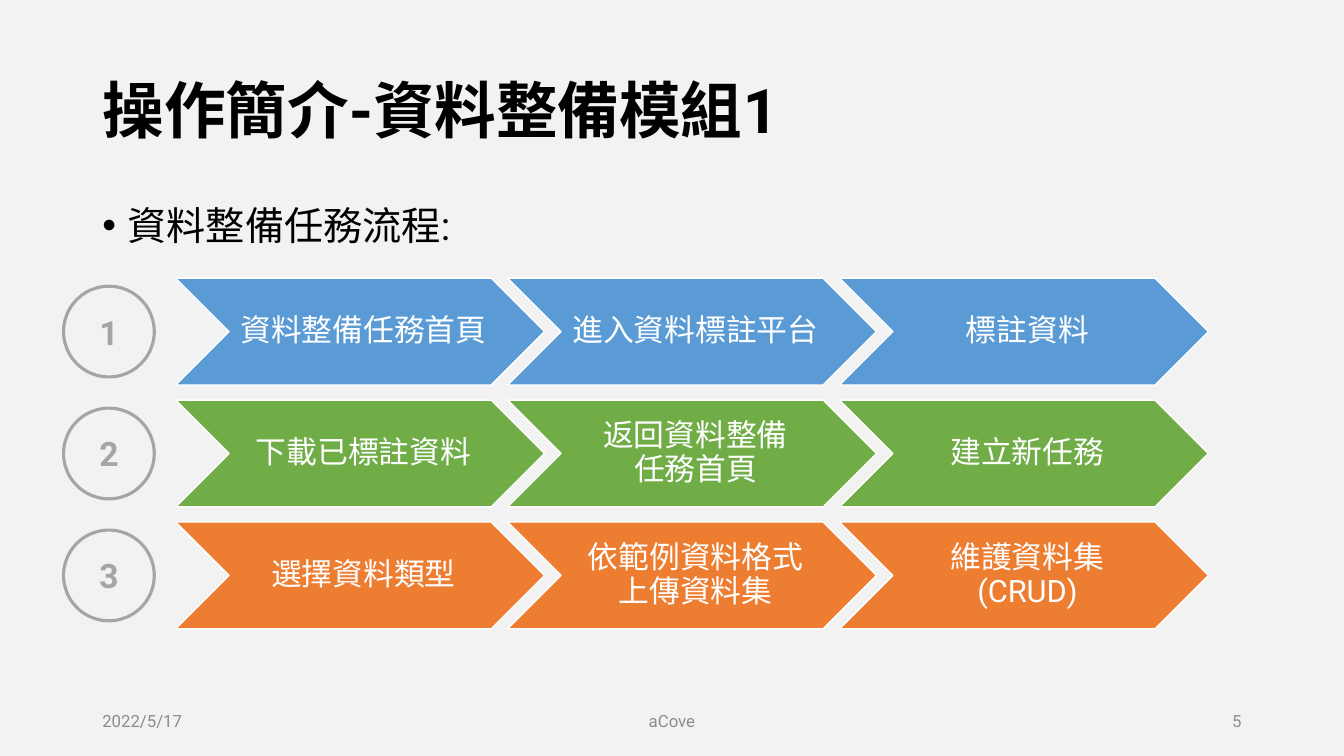
"""Build the slide that shows the data preparation flow."""
from pptx import Presentation
from pptx.dml.color import RGBColor
from pptx.enum.shapes import MSO_SHAPE as Kind
from pptx.enum.text import MSO_ANCHOR as Anchor, PP_ALIGN as Align
from pptx.oxml.ns import qn
from pptx.util import Pt
from lxml.etree import SubElement

BLACK = RGBColor(0x00, 0x00, 0x00)
WHITE = RGBColor(0xFF, 0xFF, 0xFF)
PALE = RGBColor(0xF2, 0xF2, 0xF2)
GREY = RGBColor(0x8C, 0x8C, 0x8C)
RING = RGBColor(0xA5, 0xA5, 0xA5)
BLUE = RGBColor(0x5B, 0x9B, 0xD5)
GREEN = RGBColor(0x70, 0xAD, 0x47)
ORANGE = RGBColor(0xED, 0x7D, 0x31)

TITLE = "操作簡介-資料整備模組1"
LEAD = "資料整備任務流程:"
ROWS = [
    (BLUE, ["資料整備任務首頁", "進入資料標註平台", "標註資料"]),
    (GREEN, ["下載已標註資料", "返回資料整備\n任務首頁", "建立新任務"]),
    (ORANGE, ["選擇資料類型", "依範例資料格式\n上傳資料集", "維護資料集(CRUD)"]),
]
FOOTER = [
    ("2022/5/17", 66, 216, Align.LEFT),
    ("aCove", 318, 324, Align.CENTER),
    ("5", 678, 216, Align.RIGHT),
]

LEFT, TOP = 125.5, 198.7
WIDE, HIGH = 263.5, 76.3
STEP, DROP = 237.1, 87.1
DISC, EDGE = 64.8, 45.4


def write(shape, text, size, color, bold=False, align=Align.CENTER,
          anchor=Anchor.MIDDLE, space=1.0, pad=(7.2, 3.6, 7.2, 3.6)):
    """Put formatted text into a shape and return its paragraph."""
    frame = shape.text_frame
    frame.word_wrap = True
    frame.vertical_anchor = anchor
    (frame.margin_left, frame.margin_top,
     frame.margin_right, frame.margin_bottom) = map(Pt, pad)
    para = frame.paragraphs[0]
    para.text = text
    para.alignment = align
    para.line_spacing = space
    for run in para.runs:
        font = run.font
        font.name, font.size, font.bold = "Roboto", Pt(size), bold
        font.color.rgb = color
    return para


def place(shape, *box):
    """Move a shape to a box given in points."""
    shape.left, shape.top, shape.width, shape.height = map(Pt, box)
    return shape


def draw(slide, kind, box, line, width, fill=None):
    """Add a preset shape with its fill and line."""
    shape = slide.shapes.add_shape(kind, *map(Pt, box))
    shape.shadow.inherit = False
    if fill is None:
        shape.fill.background()
    else:
        shape.fill.solid()
        shape.fill.fore_color.rgb = fill
    shape.line.color.rgb = line
    shape.line.width = Pt(width)
    return shape


def main():
    """Make the slide and save it."""
    deck = Presentation()
    deck.slide_width, deck.slide_height = Pt(960), Pt(540)
    slide = deck.slides.add_slide(deck.slide_layouts[1])
    slide.background.fill.solid()
    slide.background.fill.fore_color.rgb = PALE

    title = place(slide.shapes.title, 66, 28.8, 828, 104.4)
    write(title, TITLE, 44, BLACK, bold=True, align=Align.LEFT, space=0.9)
    body = place(slide.placeholders[1], 66, 144, 828, 44)
    lead = write(body, LEAD, 28, BLACK, align=Align.LEFT,
                 anchor=Anchor.TOP, space=0.9)
    lead.space_before = Pt(10)
    props = lead._p.get_or_add_pPr()
    props.set("marL", str(Pt(18)))
    props.set("indent", str(-Pt(18)))
    SubElement(props, qn("a:buFont")).set("typeface", "Arial")
    SubElement(props, qn("a:buChar")).set("char", "•")

    for text, left, width, align in FOOTER:
        box = slide.shapes.add_textbox(*map(Pt, (left, 500.5, width, 28.8)))
        write(box, text, 12, GREY, align=align)

    for row, (color, steps) in enumerate(ROWS):
        top = TOP + row * DROP
        for col, text in enumerate(steps):
            box = (LEFT + col * STEP, top, WIDE, HIGH)
            arrow = draw(slide, Kind.CHEVRON, box, WHITE, 1, color)
            write(arrow, text, 22, WHITE, space=0.9, pad=(7.2, 2.2, 2.2, 2.2))
        box = (EDGE, top + (HIGH - DISC) / 2, DISC, DISC)
        disc = draw(slide, Kind.OVAL, box, RING, 2.25)
        write(disc, str(row + 1), 24, RING, bold=True, pad=(0, 0, 0, 0))

    deck.save("out.pptx")


if __name__ == "__main__":
    main()
